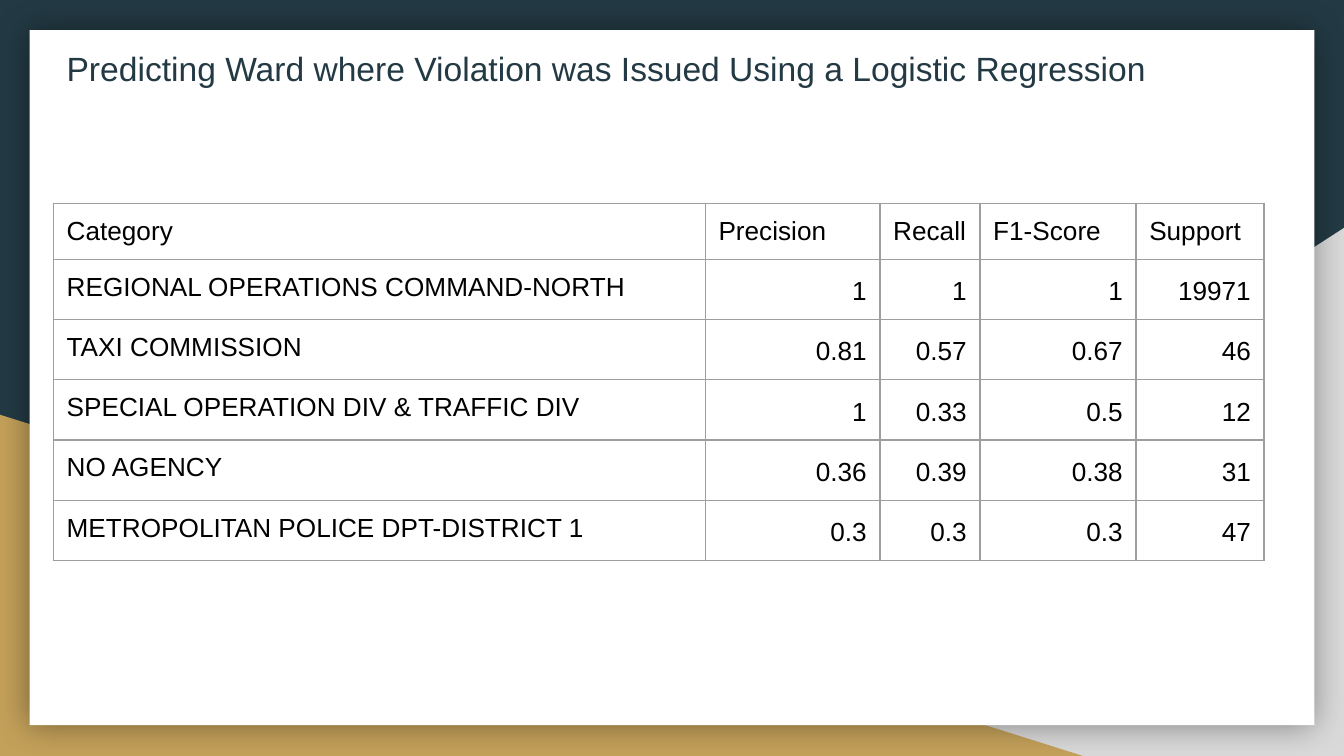
import pptx
import pptx.util
import pptx.dml.color
import pptx.enum.shapes
import pptx.enum.text
import pptx.oxml
import pptx.oxml.ns

Cm = pptx.util.Cm
Pt = pptx.util.Pt
Kind = pptx.enum.shapes.MSO_SHAPE
Align = pptx.enum.text.PP_ALIGN
HUES = {"navy": "233A44", "gray": "D9D9D9", "gold": "C4A15A",
        "white": "FFFFFF", "black": "000000", "rule": "9E9E9E"}
SHADE = ('<a:effectLst %s><a:outerShdw blurRad="%d" dist="0" dir="0" algn="ctr" rotWithShape="0">'
         '<a:srgbClr val="%s"><a:alpha val="40000"/></a:srgbClr></a:outerShdw></a:effectLst>')
EDGE = '<a:%s %s w="%d"><a:solidFill><a:srgbClr val="%s"/></a:solidFill></a:%s>'
ROWS = [
    ("Category", "Precision", "Recall", "F1-Score", "Support"),
    ("REGIONAL OPERATIONS COMMAND-NORTH", "1", "1", "1", "19971"),
    ("TAXI COMMISSION", "0.81", "0.57", "0.67", "46"),
    ("SPECIAL OPERATION DIV & TRAFFIC DIV", "1", "0.33", "0.5", "12"),
    ("NO AGENCY", "0.36", "0.39", "0.38", "31"),
    ("METROPOLITAN POLICE DPT-DISTRICT 1", "0.3", "0.3", "0.3", "47"),
]


class Page:
    """Hold the style and the current slide, and draw each kind of element."""

    font = "Arial"
    inset = Cm(0.25)

    def __init__(self, slide, back):
        self.slide = slide
        self.paint(slide.background.fill, back)

    def paint(self, fill, hue):
        fill.solid()
        fill.fore_color.rgb = self.color(hue)

    def color(self, hue):
        return pptx.dml.color.RGBColor.from_string(HUES[hue])

    def pad(self, box):
        box.margin_left = box.margin_right = self.inset
        box.margin_top = box.margin_bottom = self.inset

    def label(self, frame, text, size, hue):
        frame.text = text
        para = frame.paragraphs[0]
        for run in para.runs:
            run.font.name = self.font
            run.font.size = Pt(size)
            run.font.color.rgb = self.color(hue)
        return para

    def shape(self, kind, place, hue, flip=False, shade=False):
        item = self.slide.shapes.add_shape(kind, *map(Cm, place))
        item.line.fill.background()
        self.paint(item.fill, hue)
        props = item.element.spPr
        if flip:
            props.xfrm.set("flipH", "1")
        if shade:
            xml = SHADE % (pptx.oxml.ns.nsdecls("a"), Pt(18), HUES["black"])
            props.append(pptx.oxml.parse_xml(xml))
        else:
            item.shadow.inherit = False

    def title(self, place, text):
        frame = self.slide.shapes.add_textbox(*map(Cm, place)).text_frame
        frame.word_wrap = True
        self.pad(frame)
        self.label(frame, text, 18, "navy")

    def border(self, cell):
        props = cell._tc.get_or_add_tcPr()
        for side in ("lnL", "lnR", "lnT", "lnB"):
            xml = EDGE % (side, pptx.oxml.ns.nsdecls("a"), Pt(0.75), HUES["rule"], side)
            props.append(pptx.oxml.parse_xml(xml))

    def table(self, left, top, wides, high, rows):
        grid = self.slide.shapes.add_table(
            len(rows), len(wides), Cm(left), Cm(top),
            Cm(sum(wides)), Cm(high * len(rows))).table
        grid.first_row = grid.horz_banding = False
        for col, wide in zip(grid.columns, wides):
            col.width = Cm(wide)
        for r, row in enumerate(rows):
            for c, text in enumerate(row):
                cell = grid.cell(r, c)
                self.pad(cell)
                self.border(cell)
                cell.fill.background()
                para = self.label(cell.text_frame, text, 14, "black")
                if r and c:
                    para.alignment = Align.RIGHT
                    para.line_spacing = 1.15


def main():
    deck = pptx.Presentation()
    deck.slide_width, deck.slide_height = Cm(25.4), Cm(14.29)
    page = Page(deck.slides.add_slide(deck.slide_layouts[6]), "navy")
    page.shape(Kind.RIGHT_TRIANGLE, (9.95, 4.31, 15.45, 9.98), "gray", flip=True)
    page.shape(Kind.RIGHT_TRIANGLE, (0, 7.84, 20.47, 6.45), "gold")
    page.shape(Kind.RECTANGLE, (0.56, 0.57, 24.28, 13.14), "white", shade=True)
    page.table(1.01, 3.84, (12.32, 3.3, 1.89, 2.95, 2.42), 1.06, ROWS)
    page.title((1.01, 0.66, 22.86, 1.27),
               "Predicting Ward where Violation was Issued Using a Logistic Regression")
    deck.save("out.pptx")


if __name__ == "__main__":
    main()
